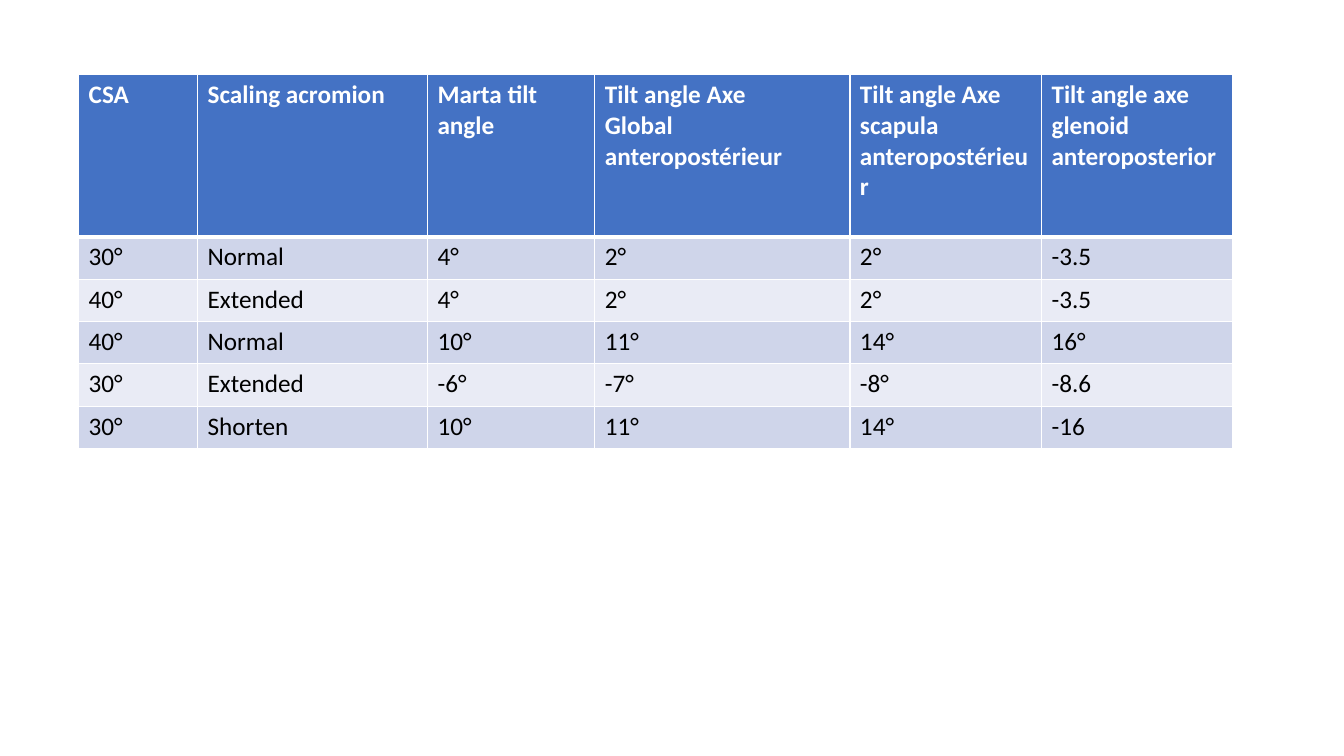
"""Builds a slide with a table of tilt angles per acromion scaling."""
import dataclasses

import lxml.etree
import pptx
import pptx.dml.color
import pptx.oxml.ns
import pptx.util


@dataclasses.dataclass(frozen=True)
class Theme:
    """Holds the colours, font and sizes of the slide."""
    font: str = "Calibri"
    text_size: int = 18
    header_fill: str = "4472C4"
    header_text: str = "FFFFFF"
    body_text: str = "000000"
    band_fills: tuple = ("CFD5EA", "E9EBF5")
    border: str = "FFFFFF"
    border_width: int = 1
    header_rule_width: int = 3


class SlideBuilder:
    """Draws styled elements on the current slide."""

    def __init__(self, slide, theme):
        """Keeps the slide and its theme."""
        self.slide = slide
        self.theme = theme

    def add_border(self, cell, side, width):
        """Adds one solid border to a cell."""
        qualify = pptx.oxml.ns.qn
        properties = cell._tc.get_or_add_tcPr()
        line = lxml.etree.SubElement(properties, qualify(f"a:ln{side}"), w=str(pptx.util.Pt(width)))
        fill = lxml.etree.SubElement(line, qualify("a:solidFill"))
        lxml.etree.SubElement(fill, qualify("a:srgbClr"), val=self.theme.border)

    def add_text(self, cell, text, color, bold):
        """Writes text run by run, with a line break at each newline."""
        paragraph = cell.text_frame.paragraphs[0]
        for index, line in enumerate(text.split("\n")):
            if index:
                paragraph.add_line_break()
            run = paragraph.add_run()
            run.text = line
            run.font.name = self.theme.font
            run.font.size = pptx.util.Pt(self.theme.text_size)
            run.font.bold = bold
            run.font.color.rgb = pptx.dml.color.RGBColor.from_string(color)

    def style_cell(self, cell, text, row_index):
        """Gives a cell its borders, fill and text."""
        theme = self.theme
        is_header = row_index == 0
        widths = dict.fromkeys("LRTB", theme.border_width)
        if is_header:
            widths["B"] = theme.header_rule_width
        elif row_index == 1:
            widths["T"] = theme.header_rule_width
        for side, width in widths.items():
            self.add_border(cell, side, width)
        fill = theme.header_fill if is_header else theme.band_fills[(row_index - 1) % 2]
        cell.fill.solid()
        cell.fill.fore_color.rgb = pptx.dml.color.RGBColor.from_string(fill)
        self.add_text(cell, text, theme.header_text if is_header else theme.body_text, is_header)

    def add_table(self, left, top, column_widths, row_heights, rows):
        """Adds a table with a header row and banded body rows."""
        inches = pptx.util.Inches
        table = self.slide.shapes.add_table(
            len(rows), len(column_widths), inches(left), inches(top),
            inches(sum(column_widths)), inches(sum(row_heights))).table
        for column, width in zip(table.columns, column_widths):
            column.width = inches(width)
        for row_index, (row, height, texts) in enumerate(zip(table.rows, row_heights, rows)):
            row.height = inches(height)
            for cell, text in zip(row.cells, texts):
                self.style_cell(cell, text, row_index)


TILT_ROWS = [
    ("CSA", "Scaling acromion", "Marta tilt angle", "Tilt angle Axe \nGlobal anteropostérieur",
     "Tilt angle Axe \nscapula anteropostérieur", "Tilt angle axe glenoid anteroposterior"),
    ("30°", "Normal", "4°", "2°", "2°", "-3.5"),
    ("40°", "Extended", "4°", "2°", "2°", "-3.5"),
    ("40°", "Normal", "10°", "11°", "14°", "16°"),
    ("30°", "Extended", "-6°", "-7°", "-8°", "-8.6"),
    ("30°", "Shorten", "10°", "11°", "14°", "-16"),
]


def main():
    """Builds and saves the presentation."""
    presentation = pptx.Presentation()
    presentation.slide_width = pptx.util.Inches(13.33)
    presentation.slide_height = pptx.util.Inches(7.5)
    slide = presentation.slides.add_slide(presentation.slide_layouts[6])
    builder = SlideBuilder(slide, Theme())
    column_widths = [1.18, 2.28, 1.66, 2.53, 1.9, 1.9]
    row_heights = [1.61] + [0.42] * (len(TILT_ROWS) - 1)
    builder.add_table(0.78, 0.74, column_widths, row_heights, TILT_ROWS)
    presentation.save("out.pptx")


if __name__ == "__main__":
    main()
